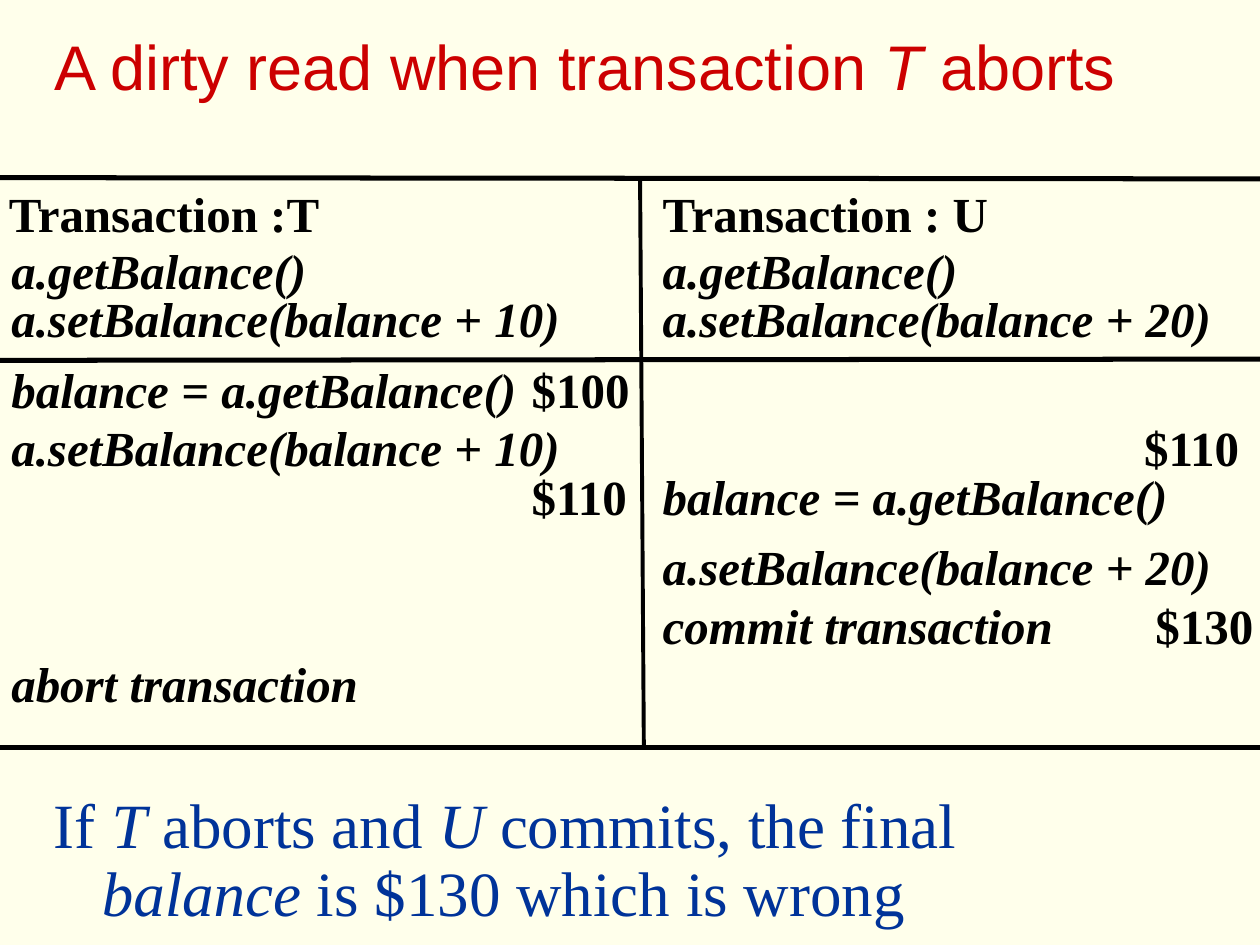
import pptx
import pptx.dml.color
import pptx.enum.shapes
import pptx.enum.text
import pptx.oxml.ns
import pptx.util
from lxml import etree

Inches, Pt = pptx.util.Inches, pptx.util.Pt
RGBColor = pptx.dml.color.RGBColor

CREAM = RGBColor(0xFF, 0xFF, 0xEB)
RED = RGBColor(0xCC, 0x00, 0x00)
BLUE = RGBColor(0x00, 0x33, 0x99)
BLACK = RGBColor(0x00, 0x00, 0x00)

WIDTH, HEIGHT = 10, 7.5
SERIF = "Times New Roman"

# Grid: left edges of the columns and tops of the text rows, in inches
T_HEAD, T_STEP, T_VALUE, U_STEP, U_READ, U_WRITE = 0.07, 0.09, 4.22, 5.26, 9.08, 9.17
ROWS = [1.46, 1.91, 2.29, 2.85, 3.31, 3.7, 4.26, 4.73, 5.19]
ROW_HEIGHT = 0.47

# Row, left, width, text
HEADINGS_AND_VALUES = [
    (0, T_HEAD, 2.59, "Transaction :T"),
    (0, U_STEP, 2.71, "Transaction : U"),
    (3, T_VALUE, 0.89, "$100"),
    (4, U_READ, 0.78, "$110"),
    (5, T_VALUE, 0.78, "$110"),
    (7, U_WRITE, 0.78, "$130"),
]
STATEMENTS = [
    (1, T_STEP, 2.34, "a.getBalance()"),
    (2, T_STEP, 4.4, "a.setBalance(balance + 10)"),
    (1, U_STEP, 2.34, "a.getBalance()"),
    (2, U_STEP, 4.4, "a.setBalance(balance + 20)"),
    (3, T_STEP, 4.05, "balance = a.getBalance()"),
    (4, T_STEP, 4.4, "a.setBalance(balance + 10)"),
    (5, U_STEP, 4.05, "balance = a.getBalance()"),
    (6, U_STEP, 4.4, "a.setBalance(balance + 20)"),
    (7, U_STEP, 3.15, "commit transaction"),
    (8, T_STEP, 2.8, "abort transaction"),
]

# Start, end, line width
RULES = [
    ((0, 1.41), (WIDTH, 1.42), 2.86),
    ((0, 2.86), (WIDTH, 2.85), 2.86),
    ((0, 5.93), (WIDTH, 5.93), 3),
    ((5.08, 1.42), (5.11, 5.93), 2.25),
]


def place(shape, left, top, width, height):
    shape.left, shape.top = Inches(left), Inches(top)
    shape.width, shape.height = Inches(width), Inches(height)


def write_runs(paragraph, parts, font_name, color):
    """Write the parts in turn, every second one in italics."""
    paragraph.alignment = pptx.enum.text.PP_ALIGN.LEFT
    paragraph.font.name = font_name
    paragraph.font.size = Pt(36)
    paragraph.font.color.rgb = color
    for index, part in enumerate(parts):
        run = paragraph.add_run()
        run.text = part
        if index % 2:
            run.font.italic = True


def add_title(slide, parts):
    title = slide.shapes.title
    place(title, 0.33, 0.17, 9.67, 0.7)
    frame = title.text_frame
    frame.vertical_anchor = pptx.enum.text.MSO_ANCHOR.TOP
    frame.auto_size = pptx.enum.text.MSO_AUTO_SIZE.NONE
    write_runs(frame.paragraphs[0], parts, "Arial", RED)


def add_conclusion(slide, parts):
    box = slide.shapes.add_textbox(
        Inches(0.33), Inches(6.25), Inches(8.83), Inches(HEIGHT - 6.25))
    box.text_frame.word_wrap = True
    paragraph = box.text_frame.paragraphs[0]
    paragraph.line_spacing = 0.9
    # Hanging indent
    properties = paragraph._p.get_or_add_pPr()
    properties.set("marL", str(Inches(0.38)))
    properties.set("indent", str(Inches(-0.38)))
    write_runs(paragraph, parts, SERIF, BLUE)


def add_cell_text(slide, row, left, width, text, italic):
    box = slide.shapes.add_textbox(
        Inches(left), Inches(ROWS[row]), Inches(width), Inches(ROW_HEIGHT))
    frame = box.text_frame
    frame.margin_left = frame.margin_right = 0
    frame.margin_top = frame.margin_bottom = 0
    frame.word_wrap = False
    frame.auto_size = pptx.enum.text.MSO_AUTO_SIZE.SHAPE_TO_FIT_TEXT
    paragraph = frame.paragraphs[0]
    paragraph.text = text
    paragraph.alignment = pptx.enum.text.PP_ALIGN.LEFT
    paragraph.font.name = SERIF
    paragraph.font.size = Pt(28)
    paragraph.font.bold = True
    paragraph.font.italic = italic
    paragraph.font.color.rgb = BLACK


def add_rule(slide, start, end, weight):
    rule = slide.shapes.add_connector(
        pptx.enum.shapes.MSO_CONNECTOR.STRAIGHT,
        *(Inches(value) for value in start + end))
    rule.line.color.rgb = BLACK
    rule.line.width = Pt(weight)
    etree.SubElement(rule._element.spPr, pptx.oxml.ns.qn("a:effectLst"))


def main():
    presentation = pptx.Presentation()
    presentation.slide_width = Inches(WIDTH)
    presentation.slide_height = Inches(HEIGHT)
    slide = presentation.slides.add_slide(presentation.slide_layouts[5])
    slide.background.fill.solid()
    slide.background.fill.fore_color.rgb = CREAM

    add_title(slide, ["A dirty read when transaction ", "T", " aborts"])

    # Schedule of the two transactions
    for cell in HEADINGS_AND_VALUES:
        add_cell_text(slide, *cell, italic=False)
    for cell in STATEMENTS:
        add_cell_text(slide, *cell, italic=True)
    for rule in RULES:
        add_rule(slide, *rule)

    add_conclusion(slide, ["If ", "T", " aborts and ", "U", " commits, the final ",
                           "balance", " is $130 which is wrong"])
    presentation.save("out.pptx")


if __name__ == "__main__":
    main()
